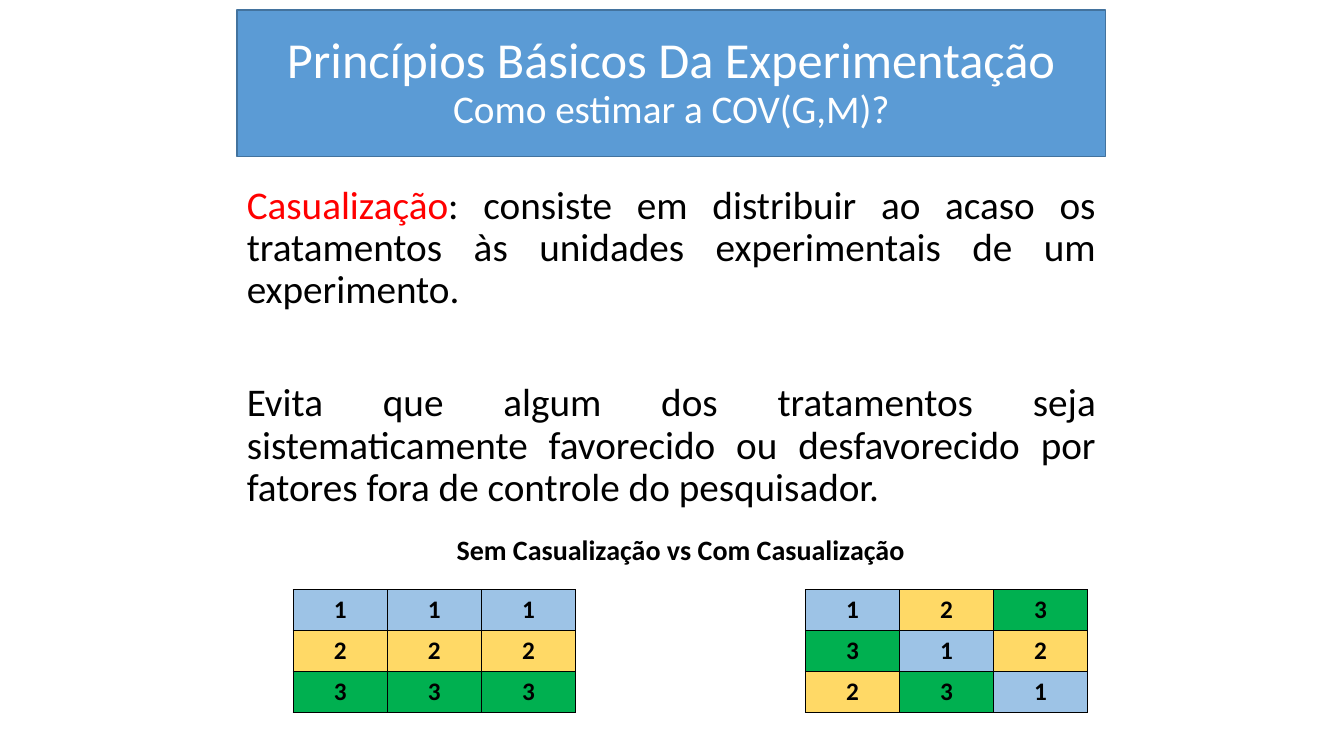
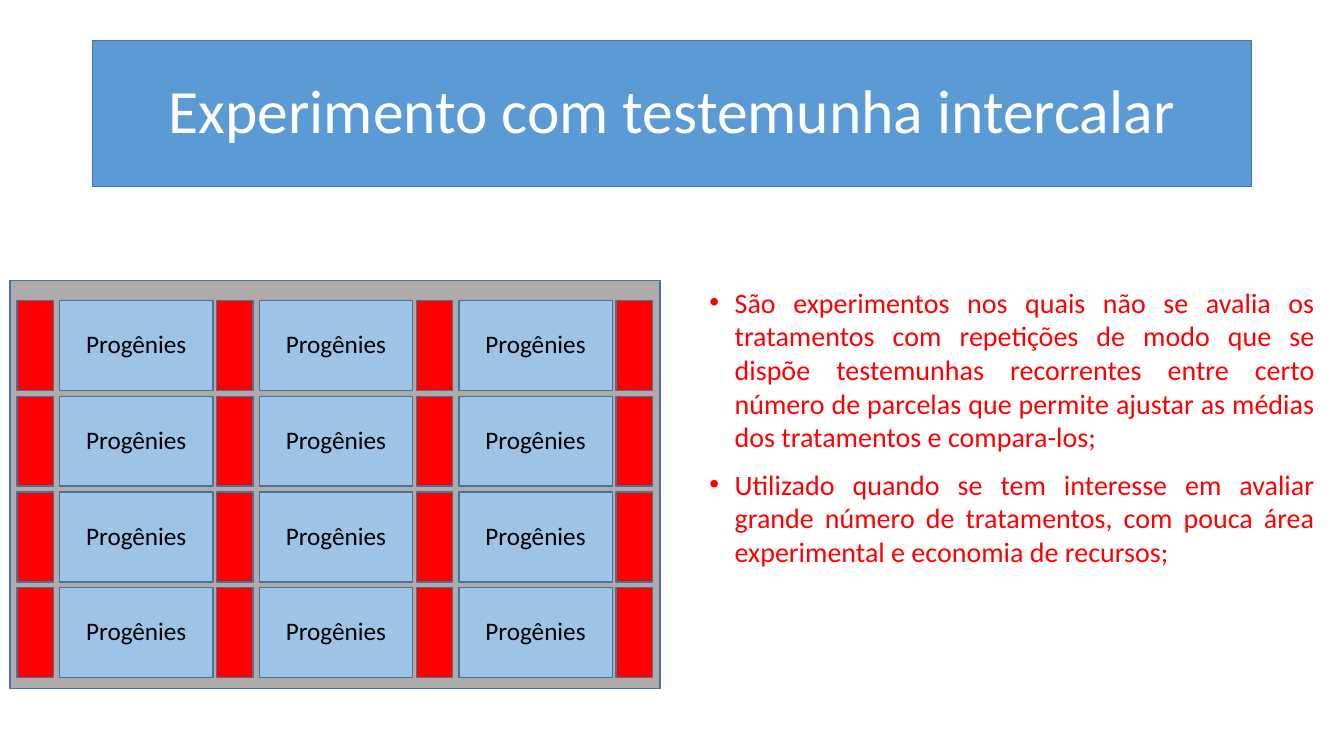
from lxml.etree import SubElement
from pptx import Presentation
from pptx.dml.color import RGBColor
from pptx.enum.shapes import MSO_SHAPE
from pptx.enum.text import MSO_ANCHOR, PP_ALIGN
from pptx.oxml.ns import qn
from pptx.util import Pt

FONT = "Calibri"
BLACK = RGBColor(0x00, 0x00, 0x00)
WHITE = RGBColor(0xFF, 0xFF, 0xFF)
RED = RGBColor(0xFF, 0x00, 0x00)
BAND_BLUE = RGBColor(0x5B, 0x9B, 0xD5)
OUTLINE = RGBColor(0x43, 0x73, 0x9E)
FIELD_GREY = RGBColor(0xAF, 0xAB, 0xAB)
LIGHT_BLUE = RGBColor(0x9D, 0xC3, 0xE6)
YELLOW = RGBColor(0xFF, 0xD9, 0x66)
GREEN = RGBColor(0x00, 0xB0, 0x50)
TREATMENT_FILLS = {1: LIGHT_BLUE, 2: YELLOW, 3: GREEN}


def style(run, size, color, bold=False):
    run.font.name = FONT
    run.font.size = Pt(size)
    run.font.color.rgb = color
    run.font.bold = bold


def add_paragraphs(frame, count):
    return [frame.paragraphs[0]] + [frame.add_paragraph() for _ in range(count - 1)]


def add_box(slide, left, top, width, height, fill):
    box = slide.shapes.add_shape(
        MSO_SHAPE.RECTANGLE, Pt(left), Pt(top), Pt(width), Pt(height))
    box.shadow.inherit = False
    box.fill.solid()
    box.fill.fore_color.rgb = fill
    box.line.color.rgb = OUTLINE
    box.line.width = Pt(1)
    return box


def write_centered(box, lines, color):
    """Centre (text, size) lines in a box."""
    frame = box.text_frame
    frame.word_wrap = True
    frame.vertical_anchor = MSO_ANCHOR.MIDDLE
    for paragraph, (text, size) in zip(add_paragraphs(frame, len(lines)), lines):
        paragraph.text = text
        paragraph.alignment = PP_ALIGN.CENTER
        paragraph.line_spacing = 0.9
        style(paragraph.runs[0], size, color)


def add_title_band(slide, left, top, width, lines):
    write_centered(add_box(slide, left, top, width, 104.4, BAND_BLUE), lines, WHITE)


def add_text_frame(slide, left, top, width, height, wrap=True):
    box = slide.shapes.add_textbox(Pt(left), Pt(top), Pt(width), Pt(height))
    box.text_frame.word_wrap = wrap
    return box.text_frame


def add_definition(slide, left, top, width, height, term, meaning, purpose):
    frame = add_text_frame(slide, left, top, width, height)
    first, second = add_paragraphs(frame, 2)
    for paragraph, parts in ((first, [(term, RED), (meaning, BLACK)]),
                             (second, [(purpose, BLACK)])):
        paragraph.alignment = PP_ALIGN.JUSTIFY
        paragraph.line_spacing = 0.9
        for text, color in parts:
            run = paragraph.add_run()
            run.text = text
            style(run, 28, color)
    second.space_before = Pt(50.4)


def add_caption(slide, left, top, width, height, text):
    frame = add_text_frame(slide, left, top, width, height, wrap=False)
    frame.text = text
    style(frame.paragraphs[0].runs[0], 20, BLACK, bold=True)


def add_bullets(slide, left, top, width, height, texts):
    frame = add_text_frame(slide, left, top, width, height)
    for index, paragraph in enumerate(add_paragraphs(frame, len(texts))):
        paragraph.text = texts[index]
        properties = paragraph._p.get_or_add_pPr()
        properties.set("marL", str(Pt(18)))
        properties.set("indent", str(-Pt(18)))
        SubElement(properties, qn("a:buFont"), typeface="Arial")
        SubElement(properties, qn("a:buChar"), char="•")
        paragraph.alignment = PP_ALIGN.JUSTIFY
        if index:
            paragraph.space_before = Pt(10)
        style(paragraph.runs[0], 20, RED)


def set_borders(cell):
    properties = cell._tc.get_or_add_tcPr()
    for position, side in enumerate(("a:lnL", "a:lnR", "a:lnT", "a:lnB")):
        border = properties.makeelement(qn(side), {"w": str(Pt(1))})
        fill = SubElement(border, qn("a:solidFill"))
        SubElement(fill, qn("a:srgbClr"), val=str(BLACK))
        properties.insert(position, border)


def add_layout_table(slide, left, top, width, height, treatments):
    """Draw a field layout, coloured by treatment number."""
    table = slide.shapes.add_table(
        len(treatments), len(treatments[0]),
        Pt(left), Pt(top), Pt(width), Pt(height)).table
    table.first_row = False
    table.horz_banding = False
    for row, numbers in enumerate(treatments):
        for column, number in enumerate(numbers):
            cell = table.cell(row, column)
            cell.text = str(number)
            cell.fill.solid()
            cell.fill.fore_color.rgb = TREATMENT_FILLS[number]
            paragraph = cell.text_frame.paragraphs[0]
            paragraph.alignment = PP_ALIGN.CENTER
            style(paragraph.runs[0], 18, BLACK, bold=True)
            set_borders(cell)


def add_field(slide, left, top, width, height, rows=4, blocks=3):
    """Draw progeny blocks with a check plot on either side of each."""
    add_box(slide, left, top, width, height, FIELD_GREY)
    column_step, row_step, plot_height = 142.6, 68.4, 64.2
    for row in range(rows):
        plot_top = top + 14.4 + row * row_step
        for column in range(blocks + 1):
            check_left = left + 5 + column * column_step
            add_box(slide, check_left, plot_top, 26, plot_height, RED)
            if column < blocks:
                progeny = add_box(slide, check_left + 30.4, plot_top,
                                  109.6, plot_height, LIGHT_BLUE)
                write_centered(progeny, [("Progênies", 18)], BLACK)


def build_randomization(slide):
    left, width = 169.2, 620.6
    add_title_band(slide, left, 7.2, width, [
        ("Princípios Básicos Da Experimentação", 36),
        ("Como estimar a COV(G,M)?", 28)])
    add_definition(
        slide, left, 128.9, width, 242, "Casualização",
        ": consiste em distribuir ao acaso os tratamentos às unidades "
        "experimentais de um experimento.",
        "Evita que algum dos tratamentos seja sistematicamente favorecido ou "
        "desfavorecido por fatores fora de controle do pesquisador.")
    add_caption(slide, 319, 376.6, 337.7, 31.7, "Sem Casualização vs Com Casualização")
    systematic = [(1, 1, 1), (2, 2, 2), (3, 3, 3)]
    randomized = [(1, 2, 3), (3, 1, 2), (2, 3, 1)]
    for table_left, treatments in ((209.5, systematic), (575.3, randomized)):
        add_layout_table(slide, table_left, 421.2, 201.6, 87.6, treatments)


def build_check_experiment(slide):
    add_title_band(slide, 66.2, 28.8, 828,
                   [("Experimento com testemunha intercalar", 44)])
    add_bullets(slide, 499.7, 200.2, 446.4, 214, [
        "São experimentos nos quais não se avalia os tratamentos com repetições "
        "de modo que se dispõe testemunhas recorrentes entre certo número de "
        "parcelas que permite ajustar as médias dos tratamentos e compara-los;",
        "Utilizado quando se tem interesse em avaliar grande número de "
        "tratamentos, com pouca área experimental e economia de recursos;"])
    add_field(slide, 7.2, 200.2, 464.4, 291.6)


def main():
    presentation = Presentation()
    presentation.slide_width = Pt(960)
    presentation.slide_height = Pt(540)
    blank = presentation.slide_layouts[6]
    for build in (build_randomization, build_check_experiment):
        build(presentation.slides.add_slide(blank))
    presentation.save("out.pptx")


if __name__ == "__main__":
    main()
